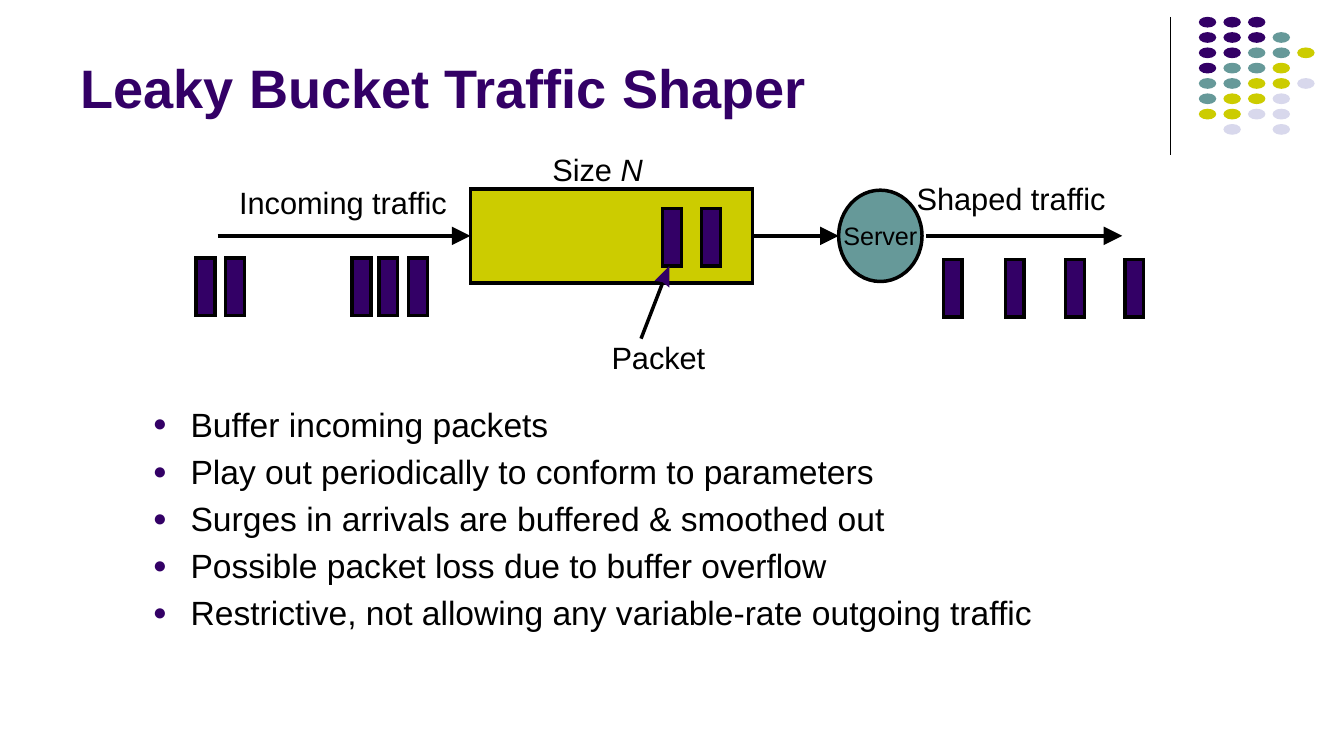
from pptx import Presentation, util as u
from pptx.dml.color import RGBColor
from pptx.enum import shapes, text
from pptx.oxml.ns import qn
from lxml import etree

COLS, ROWS = 1000, 562.5
UNIT = u.Inches(10) // COLS
FONT = "Arial"
BLACK = RGBColor(0, 0, 0)
PURPLE = RGBColor(0x33, 0x00, 0x66)
TEAL = RGBColor(0x66, 0x99, 0x99)
OLIVE = RGBColor(0xCC, 0xCC, 0x00)
PALE = RGBColor(0xD8, 0xD8, 0xEC)
INK = {"P": PURPLE, "T": TEAL, "O": OLIVE, "L": PALE}
DOTS = ["PPP", "PPPT", "PPTTO", "PTTO", "TTOOL", "TOOL", "OOLL", " L L"]
LINE = 1.88
RECT = shapes.MSO_SHAPE.RECTANGLE
OVAL = shapes.MSO_SHAPE.OVAL
POINTS = [
    "Buffer incoming packets",
    "Play out periodically to conform to parameters",
    "Surges in arrivals are buffered & smoothed out",
    "Possible packet loss due to buffer overflow",
    "Restrictive, not allowing any variable-rate outgoing traffic",
]


def grid(box, *spots):
    """Turn grid spots inside a box, as x, y pairs, into slide lengths."""
    return [round((box[i % 2] + s) * UNIT) for i, s in enumerate(spots)]


def size(w, h):
    return [round(w * UNIT), round(h * UNIT)]


def paint(shape, fill, line=None):
    shape.shadow.inherit = False
    shape.fill.solid()
    shape.fill.fore_color.rgb = fill
    if line:
        shape.line.color.rgb = BLACK
        shape.line.width = u.Pt(line)
        edge = shape._element.spPr.get_or_add_ln()
        etree.SubElement(edge, qn("a:miter"), lim="800000")
    else:
        shape.line.fill.background()


def block(slide, box, kind, x, y, w, h, fill, line=None):
    shape = slide.shapes.add_shape(kind, *grid(box, x, y), *size(w, h))
    paint(shape, fill, line)
    return shape


def link(slide, box, start, end, width=LINE, head=False):
    line = slide.shapes.add_connector(
        shapes.MSO_CONNECTOR.STRAIGHT, *grid(box, *start, *end))
    line.line.color.rgb = BLACK
    line.line.width = u.Pt(width)
    props = line._element.spPr
    if head:
        etree.SubElement(props.get_or_add_ln(), qn("a:tailEnd"),
                         type="triangle", w="lg", len="lg")
    etree.SubElement(props, qn("a:effectLst"))
    return line


def write(para, words, pt, color=BLACK, bold=None, italic=None):
    run = para.add_run()
    run.text = words
    font = run.font
    font.name, font.size = FONT, u.Pt(pt)
    font.bold, font.italic = bold, italic
    font.color.rgb = color


def bare(frame):
    """Strip the margins and the wrap from a label."""
    frame.margin_left = frame.margin_right = 0
    frame.margin_top = frame.margin_bottom = 0
    frame.word_wrap = False
    return frame.paragraphs[0]


def label(slide, box, x, y, w, words, tail=None):
    area = slide.shapes.add_textbox(*grid(box, x, y), *size(w, 28))
    para = bare(area.text_frame)
    write(para, words, 16.5)
    if tail:
        write(para, tail, 16.5, italic=True)


def title(slide, box, words):
    head = slide.shapes.title
    head.left, head.top = grid(box, 0, 0)
    head.width, head.height = size(*box[2:])
    frame = head.text_frame
    frame.auto_size = text.MSO_AUTO_SIZE.NONE
    frame.vertical_anchor = text.MSO_ANCHOR.BOTTOM
    para = frame.paragraphs[0]
    para.alignment = text.PP_ALIGN.LEFT
    write(para, words, 29, PURPLE, bold=True)


def corner(slide, box):
    """Draw the rule and the field of dots in the top corner."""
    link(slide, box, (0, 0), (0, box[3]), 0.75)
    for r, row in enumerate(DOTS):
        for c, key in enumerate(row):
            if key in INK:
                block(slide, box, OVAL, 21 + c * 18.3, r * 11.4, 13, 8,
                      INK[key])


def shaper(slide, box):
    """Draw traffic flowing through the bucket and the server."""
    axis = 63.5
    bucket = block(slide, box, RECT, 204, 28.5, 210, 70, OLIVE, LINE)
    server = block(slide, box, OVAL, 478, 29.5, 62, 68, TEAL, LINE)
    para = bare(server.text_frame)
    para.alignment = text.PP_ALIGN.CENTER
    write(para, "Server", 13.5)

    link(slide, box, (16, axis), (204, axis), head=True).end_connect(bucket, 1)
    link(slide, box, (414, axis), (478, axis),
         head=True).begin_connect(bucket, 3)
    link(slide, box, (543, axis), (689, axis), head=True)

    queues = {43: (347, 376), 80: (0, 22, 116, 136, 158),
              81: (556, 602, 647, 691)}
    for y, spots in queues.items():
        for x in spots:
            block(slide, box, RECT, x, y, 14, 43, PURPLE, LINE)

    label(slide, box, 32, 25, 156, "Incoming traffic")
    label(slide, box, 536, 22, 142, "Shaped traffic")
    label(slide, box, 265, 0, 68, "Size ", "N")
    label(slide, box, 309, 140, 71, "Packet")

    link(slide, box, (331, 140), (348, 96))
    tip = [grid(box, *p) for p in ((352, 102), (347, 98), (341, 97), (352, 86))]
    pen = slide.shapes.build_freeform(*tip[0])
    pen.add_line_segments(tip[1:], close=True)
    paint(pen.convert_to_shape(), PURPLE)


def bullets(slide, box, points):
    area = slide.shapes.add_textbox(*grid(box, 0, 0), *size(*box[2:]))
    frame = area.text_frame
    frame.word_wrap = True
    for i, words in enumerate(points):
        para = frame.add_paragraph() if i else frame.paragraphs[0]
        props = para._p.get_or_add_pPr()
        props.set("marL", str(28 * UNIT))
        props.set("indent", str(-28 * UNIT))
        if i:
            para.space_before = u.Pt(3.6)
        color = etree.SubElement(props, qn("a:buClr"))
        etree.SubElement(color, qn("a:srgbClr"), val=str(PURPLE))
        etree.SubElement(props, qn("a:buSzPct"), val="70000")
        etree.SubElement(props, qn("a:buFont"), typeface=FONT)
        etree.SubElement(props, qn("a:buChar"), char="●")
        write(para, words, 18)


def main():
    deck = Presentation()
    deck.slide_width, deck.slide_height = size(COLS, ROWS)
    slide = deck.slides.add_slide(deck.slide_layouts[5])
    corner(slide, (871, 12.5, 107, 103))
    shaper(slide, (146, 112, 705, 168))
    title(slide, (50, 10, 825, 84), "Leaky Bucket Traffic Shaper")
    bullets(slide, (104, 295.5, 680, 187), POINTS)
    deck.save("out.pptx")


if __name__ == "__main__":
    main()
